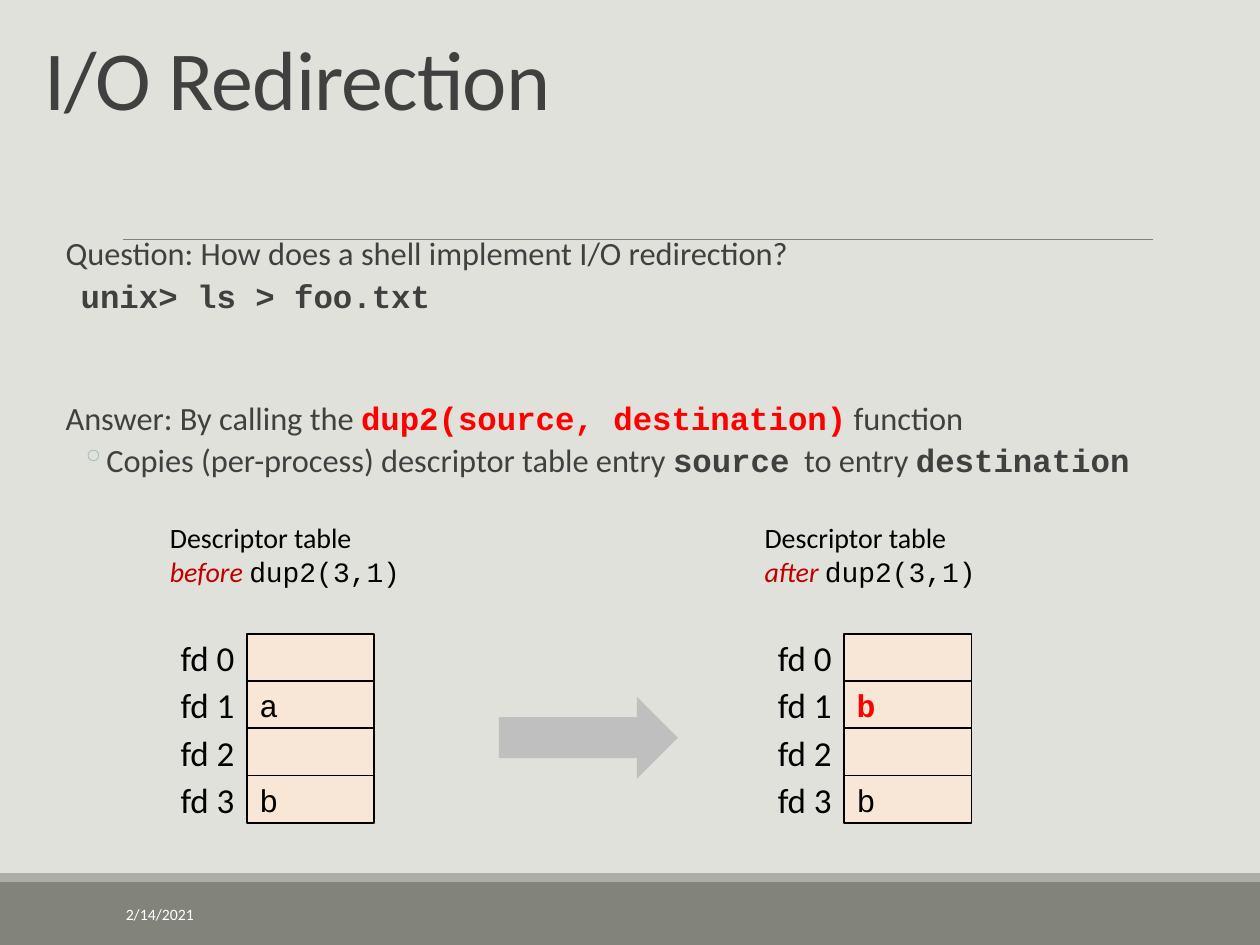
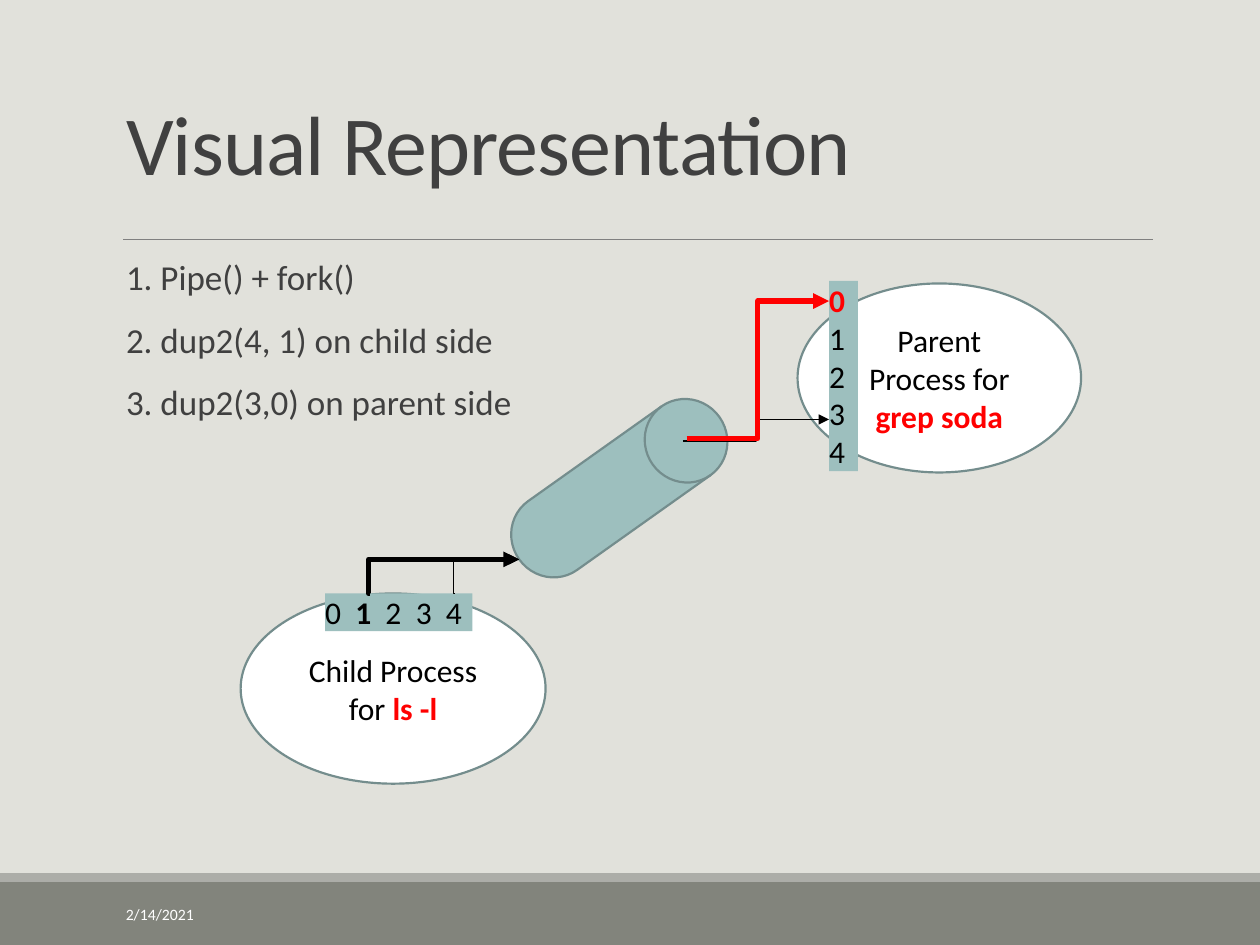
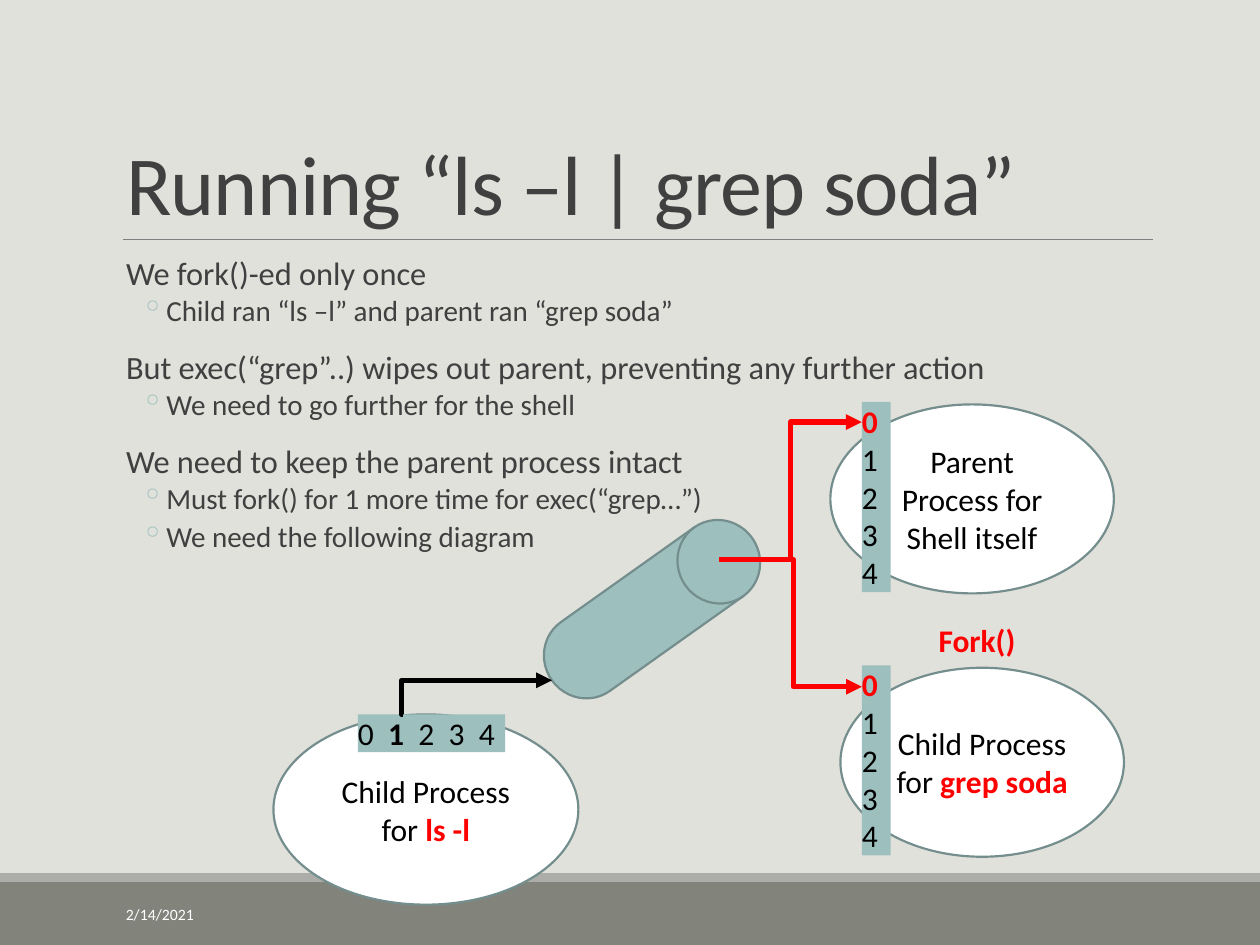
"""Build three slides on I/O redirection with dup2 and pipes."""
from pptx import Presentation
from pptx.dml.color import RGBColor
from pptx.enum.shapes import MSO_CONNECTOR, MSO_SHAPE
from pptx.enum.text import MSO_ANCHOR, MSO_AUTO_SIZE, PP_ALIGN
from pptx.oxml.ns import qn
from pptx.util import Inches, Pt
from lxml.etree import SubElement

COLORS = {
    "bg": "E1E1DB", "band": "82847C", "stripe": "ACADA8", "rule": "808080",
    "text": "404040", "bullet": "9DBFBE", "teal": "9DBFBE", "edge": "748D8D",
    "cell": "F8E7D6", "arrow": "BFBFBF", "black": "000000", "white": "FFFFFF",
    "red": "FF0000", "dark_red": "C00000",
}
RGB = {name: RGBColor.from_string(value) for name, value in COLORS.items()}
STYLES = {
    "plain": {},
    "bold": {"bold": True},
    "mono": {"font": "Courier New"},
    "code": {"font": "Courier New", "bold": True},
    "red": {"bold": True, "color": "red"},
    "red_code": {"font": "Courier New", "bold": True, "color": "red"},
    "accent": {"italic": True, "color": "dark_red"},
}


def add_par(tf, runs, size, color="black", align=PP_ALIGN.LEFT):
    p = tf.add_paragraph() if tf.paragraphs[0].runs else tf.paragraphs[0]
    p.alignment = align
    for text, name in runs:
        style = STYLES[name]
        r = p.add_run()
        r.text = text
        r.font.name = style.get("font", "Calibri")
        r.font.size = Pt(size)
        r.font.bold = style.get("bold", False)
        r.font.italic = style.get("italic", False)
        r.font.color.rgb = RGB[style.get("color", color)]
    return p


def add_box(s, kind, at, fill=None, line=None, width=1, anchor=MSO_ANCHOR.MIDDLE):
    at = [Inches(v) for v in at]
    if kind is None:
        sp = s.shapes.add_textbox(*at)
    else:
        sp = s.shapes.add_shape(kind, *at)
        sp.shadow.inherit = False
        sp.fill.solid()
        sp.fill.fore_color.rgb = RGB[fill]
        if line:
            sp.line.color.rgb = RGB[line]
            sp.line.width = Pt(width)
        else:
            sp.line.fill.background()
    sp.text_frame.word_wrap = True
    sp.text_frame.vertical_anchor = anchor
    return sp


prs = Presentation()
prs.slide_width, prs.slide_height = Inches(10), Inches(7.5)
bg = prs.slide_master.background.fill
bg.solid()
bg.fore_color.rgb = RGB["bg"]

pages = [
    ("I/O Redirection", (0.25, 0.23, 8.3, 0.83), (0.42, 1.84, 9.08, 2.24), 0.9, [
        ("top", 18.5, [("Question: How does a shell implement I/O redirection?", "plain")]),
        ("command", 18.5, [("unix> ls > foo.txt", "code")]),
        ("answer", 18.5, [("Answer: By calling the ", "plain"),
                          ("dup2(source, destination)", "red_code"),
                          (" function", "plain")]),
        ("bullet", 18.5, [("Copies (per-process) descriptor table entry ", "plain"),
                          ("source", "code"), ("  to entry ", "plain"),
                          ("destination", "code")]),
    ]),
    ("Visual Representation", (0.9, 0.31, 8.25, 1.27), (0.9, 2.02, 8.25, 4.4), 0.9, [
        ("top", 20, [("1. Pipe() + fork()", "plain")]),
        ("top", 20, [("2. dup2(4, 1) on child side", "plain")]),
        ("top", 20, [("3. dup2(3,0) on parent side", "plain")]),
    ]),
    ("Running “ls –l | grep soda”", (0.9, 0.31, 8.25, 1.59), (0.9, 2.02, 8.25, 4.4), 0.8, [
        ("top", 18.5, [("We fork()-ed only once", "plain")]),
        ("bullet", 16.6, [("Child ran “ls –l” and parent ran “grep soda”", "plain")]),
        ("top", 18.5, [("But exec(“grep”..) wipes out parent, preventing any further action",
                        "plain")]),
        ("bullet", 16.6, [("We need to go further for the shell", "plain")]),
        ("top", 18.5, [("We need to keep the parent process intact", "plain")]),
        ("bullet", 16.6, [("Must fork() for 1 more time for exec(“grep…”)", "plain")]),
        ("bullet", 16.6, [("We need the following diagram", "plain")]),
    ]),
]
levels = {
    "top": (0.1, 0, 12, 2), "answer": (0.1, 0, 46, 2),
    "command": (0.22, 0, 2, 4), "bullet": (0.42, -0.2, 2, 4),
}

for title, title_at, body_at, spacing, pars in pages:
    s = prs.slides.add_slide(prs.slide_layouts[5])
    add_box(s, MSO_SHAPE.RECTANGLE, (0, 7, 10, 0.5), "band")
    add_box(s, MSO_SHAPE.RECTANGLE, (0, 6.93, 10, 0.07), "stripe")
    rule = s.shapes.add_connector(MSO_CONNECTOR.STRAIGHT, Inches(0.98), Inches(1.9),
                                  Inches(9.15), Inches(1.9))
    rule.line.color.rgb = RGB["rule"]
    rule.line.width = Pt(0.5)

    sp = s.shapes.title
    sp.left, sp.top, sp.width, sp.height = [Inches(v) for v in title_at]
    tf = sp.text_frame
    tf.word_wrap = True
    tf.auto_size = MSO_AUTO_SIZE.NONE
    tf.vertical_anchor = MSO_ANCHOR.BOTTOM
    p = add_par(tf, [(title, "plain")], 48, "text")
    p.line_spacing = 0.85
    p.runs[0].font._element.set("spc", "-50")

    tf = add_box(s, None, body_at, anchor=MSO_ANCHOR.TOP).text_frame
    tf.margin_left = tf.margin_right = 0
    for level, size, runs in pars:
        p = add_par(tf, runs, size, "text")
        left, indent, before, after = levels[level]
        p.line_spacing = spacing
        p.space_before, p.space_after = Pt(before), Pt(after)
        pPr = p._p.get_or_add_pPr()
        pPr.set("marL", str(Inches(left)))
        pPr.set("indent", str(Inches(indent)))
        if level == "bullet":
            clr = SubElement(pPr, qn("a:buClr"))
            SubElement(clr, qn("a:srgbClr"), val=COLORS["bullet"])
            SubElement(pPr, qn("a:buChar"), char="◦")

    date = add_box(s, None, (0.9, 7.06, 2.03, 0.4))
    add_par(date.text_frame, [("2/14/2021", "plain")], 9, "white")

s = prs.slides[0]
tables = [
    (1.96, 1.25, "before ", ["", "a", "", "b"], "mono"),
    (6.7, 5.97, "after ", ["", "b", "", "b"], "red_code"),
]
for x, label_x, when, entries, fd1_style in tables:
    for i, entry in enumerate(entries):
        y = 5.03 + i * 0.375
        sp = add_box(s, MSO_SHAPE.RECTANGLE, (x, y, 1.01, 0.38), "cell", "black")
        if entry:
            add_par(sp.text_frame, [(entry, fd1_style if i == 1 else "mono")], 18)
        sp = add_box(s, None, (x - 1.01, y, 1.01, 0.38))
        add_par(sp.text_frame, [(f"fd {i}", "plain")], 20, align=PP_ALIGN.RIGHT)
    tf = add_box(s, None, (label_x, 4.08, 2.06, 0.64)).text_frame
    add_par(tf, [("Descriptor table", "plain")], 16)
    add_par(tf, [(when, "accent"), ("dup2(3,1)", "mono")], 16)
add_box(s, MSO_SHAPE.RIGHT_ARROW, (3.96, 5.53, 1.42, 0.65), "arrow")

child_ls = (1.91, 4.71, 2.42, 1.51, [("Child Process for ", "plain"), ("ls -l", "red")])
to_pipe = (2.93, 4.71, 4.12, 4.44, "black", 3, -0.003)
to_parent = (5.45, 3.48, 6.58, 2.39, "red", 3, 0.5)
scenes = [
    (prs.slides[1], 0, 0, [2.23],
     [(6.33, 2.25, 2.25, 1.5, [("Parent Process for ", "plain"), ("grep soda", "red")]),
      child_ls],
     [(5.42, 3.5, 6.58, 3.33, "black", 1, 0.5),
      (3.61, 4.71, 4.12, 4.44, "black", 1, -0.023),
      to_pipe, to_parent]),
    (prs.slides[2], 0.26, 0.96, [2.23, 4.32],
     [(6.33, 2.25, 2.25, 1.5, [("Parent Process for Shell itself", "plain")]),
      child_ls,
      (6.41, 4.34, 2.25, 1.5, [("Child Process for ", "plain"), ("grep soda", "red")])],
     [to_pipe, to_parent, (5.49, 3.48, 6.58, 4.49, "red", 3, 0.5)]),
]
for s, dx, dy, strip_tops, processes, wires in scenes:
    for x, y, w, h, runs in processes:
        sp = add_box(s, MSO_SHAPE.OVAL, (x + dx, y + dy, w, h), "white", "edge", 1.25)
        add_par(sp.text_frame, runs, 18, align=PP_ALIGN.CENTER)
    pipe = add_box(s, MSO_SHAPE.FLOWCHART_MAGNETIC_DISK, (4.58 + dx, 2.9 + dy, 0.67, 1.95),
                   "teal", "edge", 1.25)
    pipe.rotation = 54.6

    tf = add_box(s, MSO_SHAPE.RECTANGLE, (2.58 + dx, 4.71 + dy, 1.17, 0.3), "teal",
                 anchor=MSO_ANCHOR.TOP).text_frame
    tf.margin_left = tf.margin_right = tf.margin_top = tf.margin_bottom = 0
    p = add_par(tf, [("0\t", "plain"), ("1", "bold"), ("\t2\t3\t4", "plain")], 18)
    tabs = SubElement(p._p.get_or_add_pPr(), qn("a:tabLst"))
    for i in range(1, 5):
        SubElement(tabs, qn("a:tab"), pos=str(Inches(0.24 * i)), algn="l")

    for top in strip_tops:
        tf = add_box(s, MSO_SHAPE.RECTANGLE, (6.58 + dx, top + dy, 0.23, 1.51), "teal",
                     anchor=MSO_ANCHOR.TOP).text_frame
        tf.margin_left = tf.margin_right = tf.margin_top = tf.margin_bottom = 0
        for fd in range(5):
            add_par(tf, [(str(fd), "plain" if fd else "red")], 18)

    for x1, y1, x2, y2, color, width, bend in wires:
        wire = s.shapes.add_connector(MSO_CONNECTOR.ELBOW, Inches(x1 + dx), Inches(y1 + dy),
                                      Inches(x2 + dx), Inches(y2 + dy))
        wire.line.color.rgb = RGB[color]
        wire.line.width = Pt(width)
        SubElement(wire.line._get_or_add_ln(), qn("a:tailEnd"), type="triangle")
        av = wire._element.find(".//" + qn("a:avLst"))
        SubElement(av, qn("a:gd"), name="adj1", fmla=f"val {round(bend * 100000)}")

fork = add_box(prs.slides[2], None, (7.35, 4.88, 0.82, 0.4), anchor=MSO_ANCHOR.TOP)
add_par(fork.text_frame, [("Fork()", "red")], 18)

for s in prs.slides:
    for cxn in s.element.iter(qn("p:cxnSp")):
        SubElement(cxn.spPr, qn("a:effectLst"))

prs.save("out.pptx")
